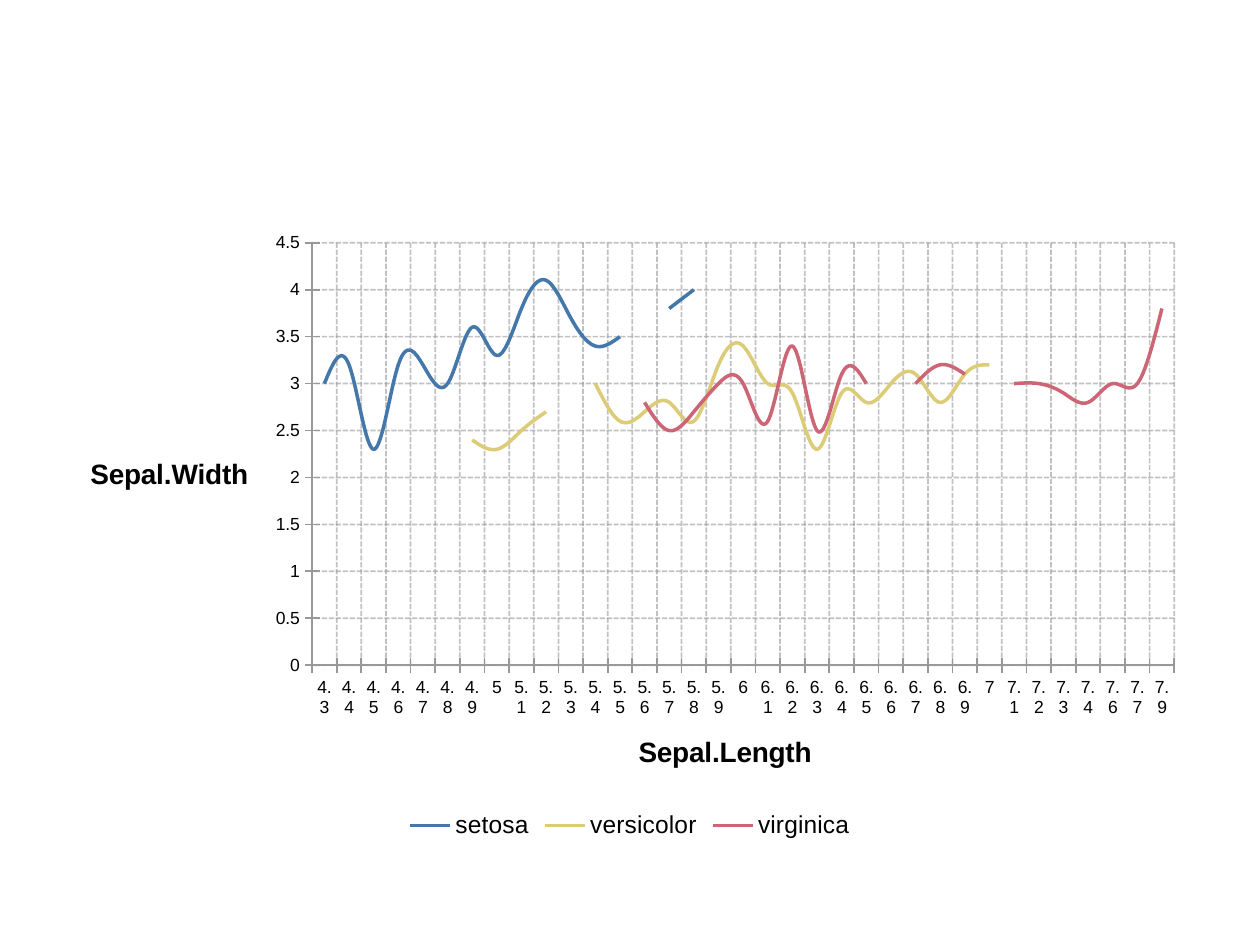
from lxml.etree import SubElement
from pptx import Presentation
from pptx.chart.data import CategoryChartData
from pptx.dml.color import RGBColor
from pptx.enum.chart import XL_CHART_TYPE, XL_LEGEND_POSITION, XL_TICK_MARK
from pptx.enum.dml import MSO_LINE
from pptx.oxml.ns import qn
from pptx.util import Inches, Pt

# Content: each species maps the first sepal length of a run to its widths
LENGTHS = [f"{tenths / 10:g}" for tenths in range(43, 80) if tenths not in (75, 78)]
SPECIES = {
    "setosa": {
        "4.3": [3, 3.2, 2.3, 3.2, 3.2, 3, 3.6, 3.3, 3.8, 4.1, 3.7, 3.4, 3.5],
        "5.7": [3.8, 4],
    },
    "versicolor": {
        "4.9": [2.4, 2.3, 2.5, 2.7],
        "5.4": [3, 2.6, 2.7, 2.8, 2.6, 3.2, 3.4, 3, 2.9,
                2.3, 2.9, 2.8, 3, 3.1, 2.8, 3.1, 3.2],
    },
    "virginica": {
        "4.9": [2.5],
        "5.6": [2.8, 2.5, 2.7, 3, 3, 2.6, 3.4, 2.5, 3.1, 3],
        "6.7": [3, 3.2, 3.1],
        "7.1": [3, 3, 2.9, 2.8, 3, 3, 3.8],
    },
}
X_TITLE, Y_TITLE = "Sepal.Length", "Sepal.Width"

THEME = {
    "text": "000000", "axis": "999999", "axis_opacity": 60,
    "series": ["4477AA", "DDCC77", "CC6677"],
    "base_font": "Calibri", "font": "Arial",
    "base": 18, "title": 16, "legend": 14, "labels": 10,
    "axis_width": 1, "series_width": 2,
}
SLIDE_WIDTH, SLIDE_HEIGHT = Inches(10), Inches(7.5)
LEFT, TOP, WIDTH, HEIGHT = 0.05, 0.7 / 3, 0.9, 0.66  # shares of the slide


def style_font(font, size, name=THEME["font"], bold=False):
    font.name, font.size, font.bold = name, Pt(size), bold
    font.color.rgb = RGBColor.from_string(THEME["text"])


def style_axis_line(line_format, dash):
    line = line_format.line
    line.color.rgb = RGBColor.from_string(THEME["axis"])
    line.width = Pt(THEME["axis_width"])
    line.dash_style = dash
    color = line_format._element.find(".//" + qn("a:ln")).find(".//" + qn("a:srgbClr"))
    SubElement(color, qn("a:alpha")).set("val", str(THEME["axis_opacity"] * 1000))


def style_axis(axis, title):
    axis.has_major_gridlines = True
    axis.major_tick_mark, axis.minor_tick_mark = XL_TICK_MARK.CROSS, XL_TICK_MARK.NONE
    style_font(axis.tick_labels.font, THEME["labels"])
    axis._element.txPr.bodyPr.set("rot", "0")
    frame = axis.axis_title.text_frame
    frame.text = title
    frame._txBody.bodyPr.set("rot", "0")
    style_font(frame.paragraphs[0].runs[0].font, THEME["title"], bold=True)
    style_axis_line(axis.major_gridlines.format, MSO_LINE.SQUARE_DOT)
    style_axis_line(axis.format, MSO_LINE.SOLID)


def widths_by_length(segments):
    widths = [None] * len(LENGTHS)
    for first, values in segments.items():
        start = LENGTHS.index(first)
        widths[start:start + len(values)] = values
    return widths


def main():
    deck = Presentation()
    deck.slide_width, deck.slide_height = SLIDE_WIDTH, SLIDE_HEIGHT
    page = deck.slides.add_slide(deck.slide_layouts[6])

    # Line chart
    data = CategoryChartData()
    data.categories = LENGTHS
    for name, segments in SPECIES.items():
        data.add_series(name, widths_by_length(segments))
    chart = page.shapes.add_chart(
        XL_CHART_TYPE.LINE,
        int(SLIDE_WIDTH * LEFT), int(SLIDE_HEIGHT * TOP),
        int(SLIDE_WIDTH * WIDTH), int(SLIDE_HEIGHT * HEIGHT), data).chart
    chart.has_title = False
    style_font(chart.font, THEME["base"], THEME["base_font"])
    chart.plots[0].vary_by_categories = False
    for series, color in zip(chart.plots[0].series, THEME["series"]):
        series.smooth = True
        series.format.line.color.rgb = RGBColor.from_string(color)
        series.format.line.width = Pt(THEME["series_width"])

    # Axes and legend
    style_axis(chart.category_axis, X_TITLE)
    style_axis(chart.value_axis, Y_TITLE)
    chart.has_legend = True
    chart.legend.position = XL_LEGEND_POSITION.BOTTOM
    chart.legend.include_in_layout = False
    style_font(chart.legend.font, THEME["legend"])

    deck.save("out.pptx")


if __name__ == "__main__":
    main()
